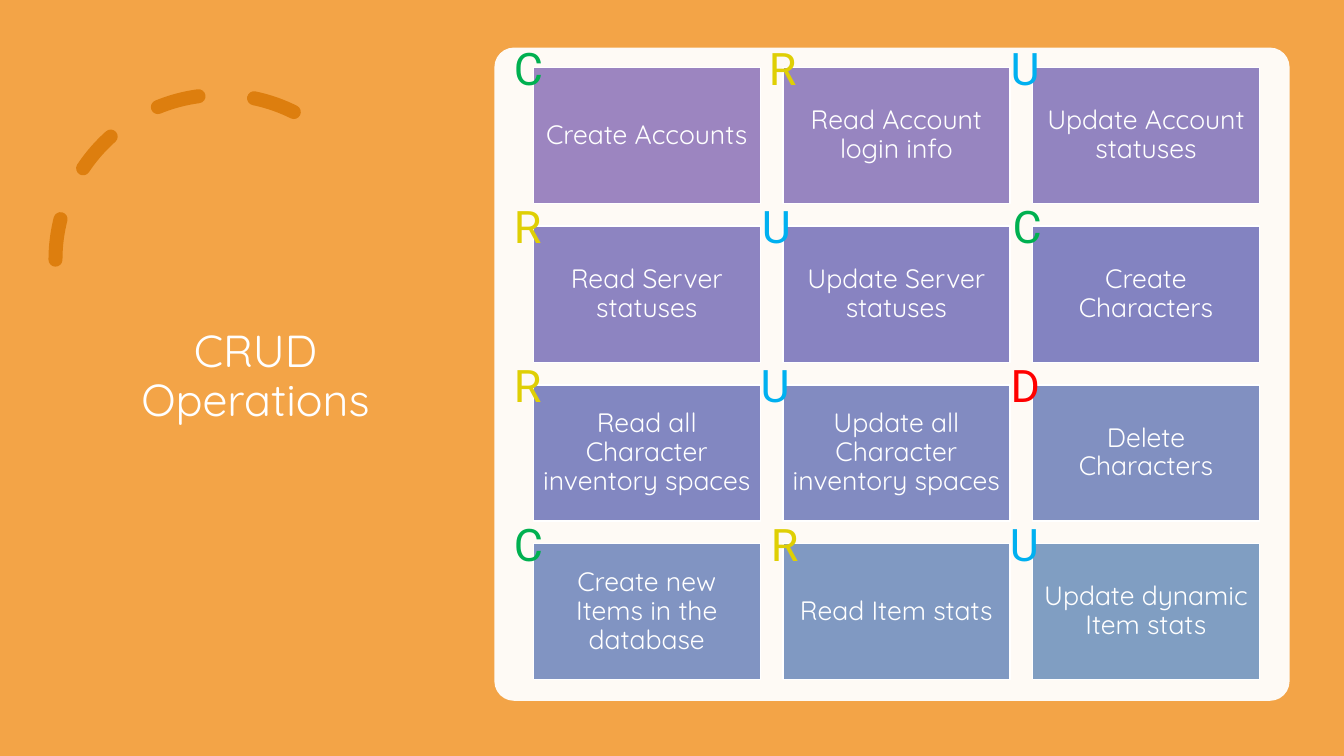
from lxml import etree
from pptx import Presentation
from pptx.dml.color import RGBColor
from pptx.enum.dml import MSO_LINE
from pptx.enum.shapes import MSO_SHAPE
from pptx.enum.text import MSO_ANCHOR, MSO_AUTO_SIZE, PP_ALIGN
from pptx.oxml.ns import qn
from pptx.util import Cm, Pt

ORANGE = RGBColor(0xF3, 0xA4, 0x47)
DARK_ORANGE = RGBColor(0xDD, 0x7E, 0x0E)
WHITE = RGBColor(0xFF, 0xFF, 0xFF)
LETTER_COLORS = {
    "C": RGBColor(0x00, 0xB0, 0x50),
    "R": RGBColor(0xDF, 0xCF, 0x04),
    "U": RGBColor(0x00, 0xB0, 0xF0),
    "D": RGBColor(0xFF, 0x00, 0x00),
}

COLUMNS = 3
TILE_LEFT, TILE_TOP = 13.44, 1.7
TILE_WIDTH, TILE_HEIGHT = 5.72, 3.43
COLUMN_STEP, ROW_STEP = 6.29, 4.0
LETTER_RISE = 0.81

# Operation, tile colour, left edge of its letter in cm
OPERATIONS = [
    ("Create Accounts", RGBColor(0x9C, 0x85, 0xC0), 12.7),
    ("Read Account login info", RGBColor(0x97, 0x85, 0xC0), 19.13),
    ("Update Account statuses", RGBColor(0x92, 0x84, 0xC0), 25.22),
    ("Read Server statuses", RGBColor(0x8D, 0x84, 0xC1), 12.7),
    ("Update Server statuses", RGBColor(0x88, 0x83, 0xC1), 18.95),
    ("Create Characters", RGBColor(0x83, 0x83, 0xC1), 25.27),
    ("Read all Character inventory spaces", RGBColor(0x82, 0x87, 0xC1), 12.7),
    ("Update all Character inventory spaces", RGBColor(0x82, 0x8B, 0xC1), 18.92),
    ("Delete Characters", RGBColor(0x81, 0x90, 0xC1), 25.22),
    ("Create new Items in the database", RGBColor(0x81, 0x94, 0xC2), 12.7),
    ("Read Item stats", RGBColor(0x80, 0x99, 0xC2), 19.18),
    ("Update dynamic Item stats", RGBColor(0x80, 0x9E, 0xC2), 25.2),
]


def write_text(frame, text, size, font_name, color):
    frame.text = text
    font = frame.paragraphs[0].runs[0].font
    font.size = Pt(size)
    font.name = font_name
    font.color.rgb = color


def center_text(frame):
    frame.word_wrap = True
    frame.vertical_anchor = MSO_ANCHOR.MIDDLE
    frame.paragraphs[0].alignment = PP_ALIGN.CENTER
    frame.paragraphs[0].line_spacing = 0.9


def add_dashed_arc(slide):
    arc = slide.shapes.add_shape(MSO_SHAPE.ARC, Cm(1.4), Cm(2.39), Cm(8.31), Cm(8.31))
    arc.shadow.inherit = False
    arc.adjustments[0] = 146.13
    arc.adjustments[1] = 0
    arc.element.spPr.xfrm.set("flipH", "1")
    arc.fill.background()
    arc.line.color.rgb = DARK_ORANGE
    arc.line.width = Pt(10)
    arc.line.dash_style = MSO_LINE.DASH
    arc.element.spPr.find(qn("a:ln")).set("cap", "rnd")


def add_title(slide):
    title = slide.shapes.add_textbox(Cm(2.34), Cm(1.78), Cm(8.2), Cm(15.47))
    write_text(title.text_frame, "CRUD Operations", 32, "Quicksand", WHITE)
    center_text(title.text_frame)


def add_panel(slide):
    """Add the slightly transparent panel behind the tiles."""
    panel = slide.shapes.add_shape(
        MSO_SHAPE.ROUNDED_RECTANGLE, Cm(12.46), Cm(1.2), Cm(20.04), Cm(16.46))
    panel.shadow.inherit = False
    panel.adjustments[0] = 0.03
    panel.fill.solid()
    panel.fill.fore_color.rgb = WHITE
    panel.line.fill.background()
    color = panel.element.spPr.find(qn("a:solidFill")).find(qn("a:srgbClr"))
    etree.SubElement(color, qn("a:alpha")).set("val", "95000")


def add_tile(slide, left, top, operation, color):
    tile = slide.shapes.add_shape(
        MSO_SHAPE.RECTANGLE, Cm(left), Cm(top), Cm(TILE_WIDTH), Cm(TILE_HEIGHT))
    tile.shadow.inherit = False
    tile.fill.solid()
    tile.fill.fore_color.rgb = color
    tile.line.color.rgb = WHITE
    tile.line.width = Pt(1)
    frame = tile.text_frame
    frame.margin_left = frame.margin_right = Cm(0.2)
    frame.margin_top = frame.margin_bottom = Cm(0.2)
    write_text(frame, operation, 19, "Quicksand", WHITE)
    center_text(frame)


def add_letter(slide, left, top, letter):
    box = slide.shapes.add_textbox(Cm(left), Cm(top), Cm(1.35), Cm(1.62))
    box.text_frame.word_wrap = False
    box.text_frame.auto_size = MSO_AUTO_SIZE.SHAPE_TO_FIT_TEXT
    write_text(box.text_frame, letter, 32, "Roboto", LETTER_COLORS[letter])


def main():
    presentation = Presentation()
    presentation.slide_width = Cm(33.87)
    presentation.slide_height = Cm(19.05)
    slide = presentation.slides.add_slide(presentation.slide_layouts[6])
    slide.background.fill.solid()
    slide.background.fill.fore_color.rgb = ORANGE

    add_dashed_arc(slide)
    add_title(slide)
    add_panel(slide)
    for index, (operation, color, letter_left) in enumerate(OPERATIONS):
        row, column = divmod(index, COLUMNS)
        top = TILE_TOP + row * ROW_STEP
        add_tile(slide, TILE_LEFT + column * COLUMN_STEP, top, operation, color)
        add_letter(slide, letter_left, top - LETTER_RISE, operation[0])

    presentation.save("out.pptx")


if __name__ == "__main__":
    main()
